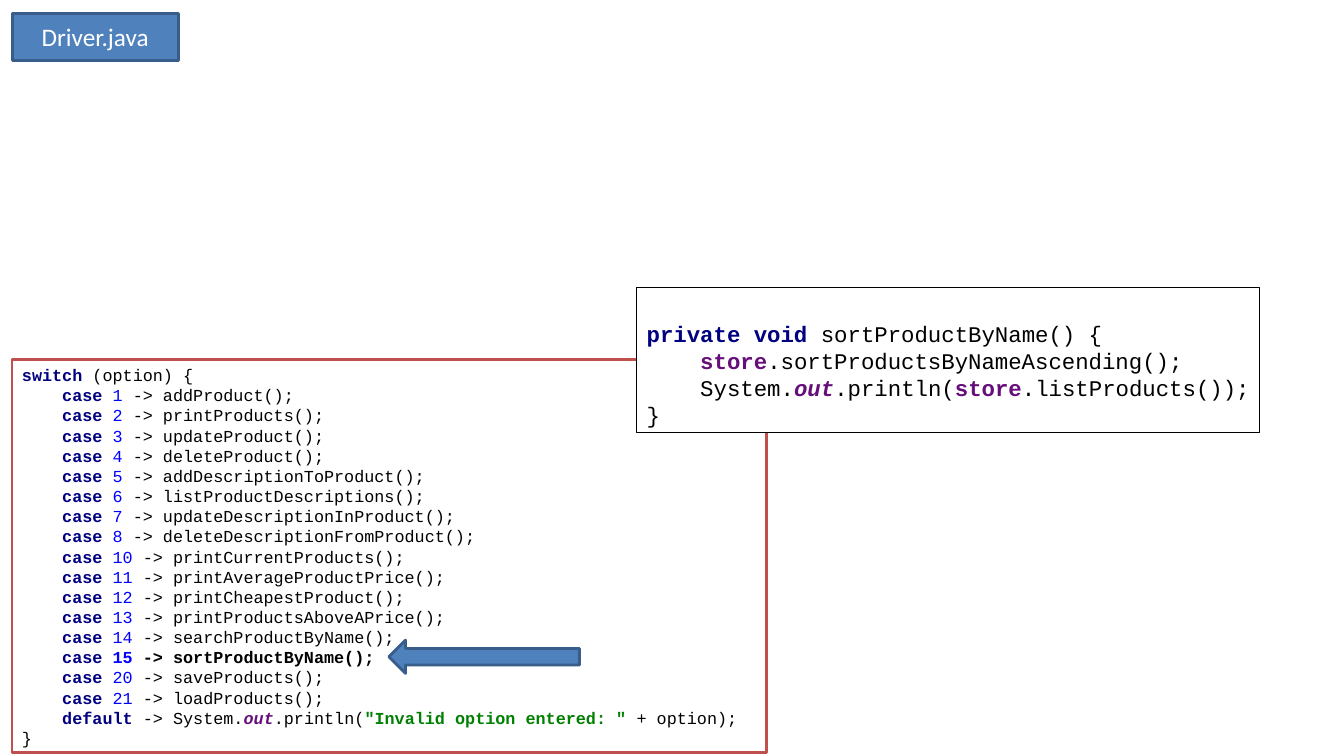
"""Build the Driver.java slide: a menu switch and the method that option 15 calls."""
from pptx import Presentation
from pptx.dml.color import RGBColor
from pptx.enum.shapes import MSO_SHAPE
from pptx.enum.text import MSO_ANCHOR, MSO_AUTO_SIZE, PP_ALIGN
from pptx.util import Inches, Pt

RECTANGLE, ARROW = MSO_SHAPE.RECTANGLE, MSO_SHAPE.RIGHT_ARROW
TOP, MIDDLE = MSO_ANCHOR.TOP, MSO_ANCHOR.MIDDLE
LEFT, CENTER = PP_ALIGN.LEFT, PP_ALIGN.CENTER
NO_AUTOFIT = MSO_AUTO_SIZE.NONE

COLORS = {"white": "FFFFFF", "black": "000000", "blue": "4F81BD", "navy": "385D8A",
          "red": "C0504D", "keyword": "000080", "number": "0000FF",
          "field": "660E7A", "string": "008000"}
STYLES = {
    "plain": ("black", False, False),
    "strong": ("black", True, False),
    "keyword": ("keyword", True, False),
    "number": ("number", False, False),
    "strong number": ("number", True, False),
    "field": ("field", True, False),
    "static": ("field", True, True),
    "string": ("string", True, False),
    "label": ("white", False, False),
}

FILE_LABEL = [[("Driver.java", "label")]]
HIGHLIGHTED = 15
INDENT = "    "
MENU = {
    1: "addProduct", 2: "printProducts", 3: "updateProduct", 4: "deleteProduct",
    5: "addDescriptionToProduct", 6: "listProductDescriptions",
    7: "updateDescriptionInProduct", 8: "deleteDescriptionFromProduct",
    10: "printCurrentProducts", 11: "printAverageProductPrice",
    12: "printCheapestProduct", 13: "printProductsAboveAPrice",
    14: "searchProductByName", 15: "sortProductByName",
    20: "saveProducts", 21: "loadProducts",
}
SWITCH_START = [("switch ", "keyword"), ("(option) {", "plain")]
SWITCH_DEFAULT = [(INDENT + "default ", "keyword"), ("-> System.", "plain"), ("out", "static"),
                  (".println(", "plain"), ('"Invalid option entered: " ', "string"),
                  ("+ option);", "plain")]
CLOSING = [("}", "plain")]
SORT_METHOD = [
    [("private void ", "keyword"), ("sortProductByName() {", "plain")],
    [(INDENT + "store", "field"), (".sortProductsByNameAscending();", "plain")],
    [(INDENT + "System.", "plain"), ("out", "static"), (".println(", "plain"),
     ("store", "field"), (".listProducts());", "plain")],
    CLOSING,
]

WIDTH, HEIGHT = Inches(13.34), Inches(7.5)
AREAS = {
    "label": (0.9, 1.73, 12.37, 6.27),
    "switch": (0.9, 47.6, 56.15, 52),
    "arrow": (28.94, 84.67, 14.17, 4.4),
    "method": (47.38, 38, 46.33, 19.2),
}
CODE = {"font": "Courier New", "align": LEFT, "spacing": 1.2}
LABEL = {"font": "Calibri", "align": CENTER, "spacing": None}


def case_line(number, call):
    mark = "strong " if number == HIGHLIGHTED else ""
    return [(f"{INDENT}case ", "keyword"), (f"{number} ", mark + "number"),
            (f"-> {call}();", mark.strip() or "plain")]


def color(name):
    return RGBColor.from_string(COLORS[name])


def place(shape, area, fill, line, line_width):
    for index, side in enumerate(("left", "top", "width", "height")):
        extent = HEIGHT if index % 2 else WIDTH
        setattr(shape, side, round(extent * AREAS[area][index] / 100))
    shape.fill.solid()
    shape.fill.fore_color.rgb = color(fill)
    shape.line.color.rgb = color(line)
    shape.line.width = Pt(line_width)


def add_box(slide, kind, *look):
    shape = slide.shapes.add_shape(kind, 0, 0, WIDTH, HEIGHT)
    shape.shadow.inherit = False
    place(shape, *look)
    return shape


def write(shape, lines, size, look, **frame_format):
    frame = shape.text_frame
    frame_values = {"word_wrap": True, "auto_size": NO_AUTOFIT, "vertical_anchor": MIDDLE,
                    "margin_left": Inches(0.1), "margin_right": Inches(0.1),
                    "margin_top": Inches(0.05), "margin_bottom": Inches(0.05), **frame_format}
    for name, value in frame_values.items():
        setattr(frame, name, value)
    for index, line in enumerate(lines):
        paragraph = frame.add_paragraph() if index else frame.paragraphs[0]
        paragraph.alignment = look["align"]
        if look["spacing"]:
            paragraph.line_spacing = Pt(size * look["spacing"])
        for text, style in line:
            run = paragraph.add_run()
            run.text = text
            tint, bold, italic = STYLES[style]
            font_values = {"name": look["font"], "size": Pt(size), "bold": bold, "italic": italic}
            for name, value in font_values.items():
                setattr(run.font, name, value)
            run.font.color.rgb = color(tint)


def main():
    deck = Presentation()
    deck.slide_width, deck.slide_height = WIDTH, HEIGHT
    slide = deck.slides.add_slide(deck.slide_layouts.get_by_name("Title Only"))

    file_label = slide.shapes.title
    place(file_label, "label", "blue", "navy", 2)
    write(file_label, FILE_LABEL, 18, LABEL)

    switch_lines = [SWITCH_START, *(case_line(*item) for item in MENU.items()),
                    SWITCH_DEFAULT, CLOSING]
    switch_box = add_box(slide, RECTANGLE, "switch", "white", "red", 2)
    write(switch_box, switch_lines, 12, CODE, vertical_anchor=TOP)

    pointer = add_box(slide, ARROW, "arrow", "blue", "navy", 2)
    pointer.rotation = 180

    method_box = add_box(slide, RECTANGLE, "method", "white", "black", 0.75)
    write(method_box, SORT_METHOD, 16, CODE, word_wrap=False, margin_top=Inches(0.33))

    deck.save("out.pptx")


if __name__ == "__main__":
    main()
